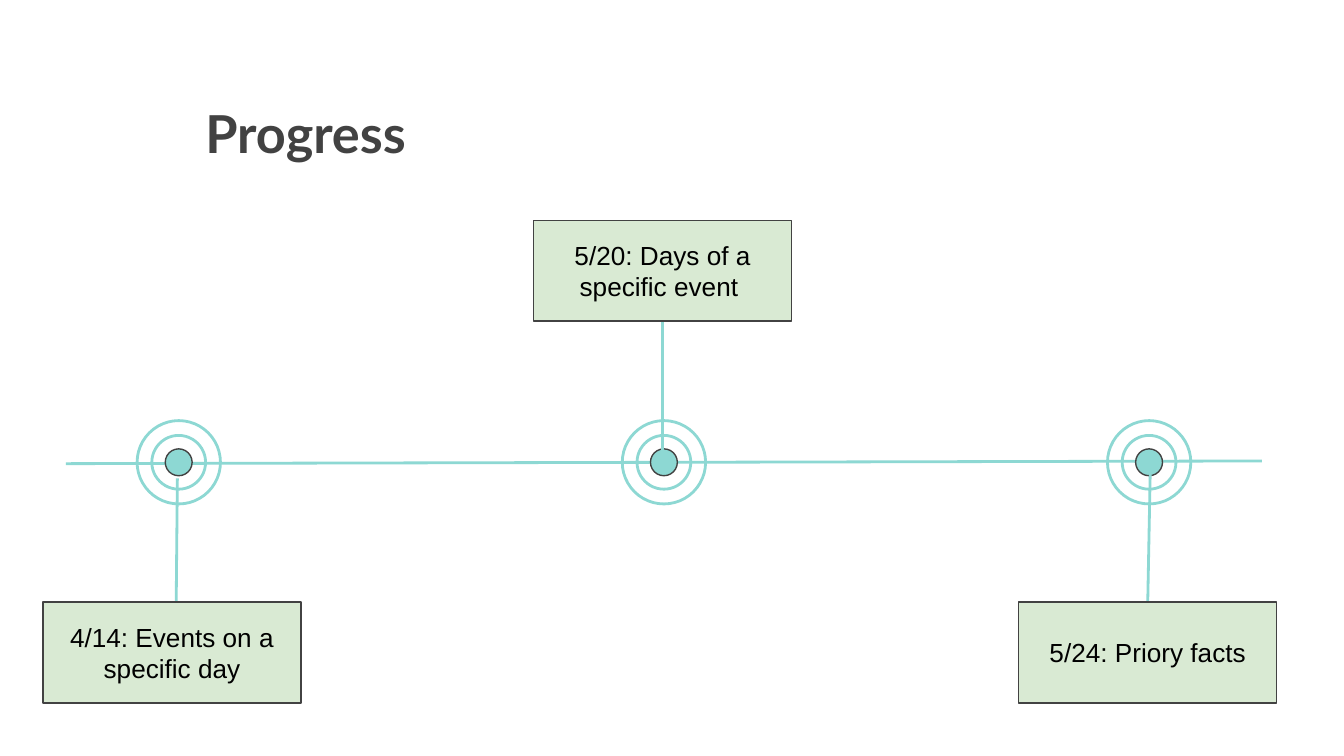
import pptx
import pptx.util
import pptx.dml.color
import pptx.enum.shapes
import pptx.enum.text
import pptx.oxml
import pptx.oxml.ns

Inches = pptx.util.Inches
Pt = pptx.util.Pt
TEAL = "8DD8D3"
DARK = "424242"


def color(hex_string):
    return pptx.dml.color.RGBColor.from_string(hex_string)


def add_line(start, end):
    line = slide.shapes.add_connector(
        pptx.enum.shapes.MSO_CONNECTOR.STRAIGHT, *map(Inches, start + end))
    line.line.color.rgb = color(TEAL)
    line.line.width = Pt(1.5)
    effects = pptx.oxml.parse_xml(f"<a:effectLst {pptx.oxml.ns.nsdecls('a')}/>")
    line._element.spPr.append(effects)
    return line


deck = pptx.Presentation()
deck.slide_width = Inches(10)
deck.slide_height = Inches(10 * 9 / 16)
slide = deck.slides.add_slide(deck.slide_layouts[6])

title = slide.shapes.add_textbox(Inches(1.43), Inches(0.65), Inches(7.69), Inches(1.09))
title.text_frame.word_wrap = True
title.text_frame.margin_top = title.text_frame.margin_bottom = Inches(0.1)
heading = title.text_frame.paragraphs[0].add_run()
heading.text = "Progress"
heading.font.name = "Lato"
heading.font.size = Pt(28)
heading.font.bold = True
heading.font.color.rgb = color(DARK)

add_line((0.49, 3.45), (9.39, 3.43))

for center in (1.33, 4.94, 8.55):
    marker = slide.shapes.add_group_shape()
    for size, outline, width in ((0.2, DARK, 0.75), (0.4, TEAL, 1.5), (0.62, TEAL, 1.5)):
        ring = marker.shapes.add_shape(
            pptx.enum.shapes.MSO_SHAPE.OVAL,
            Inches(center - size / 2), Inches(3.44 - size / 2), Inches(size), Inches(size))
        ring.shadow.inherit = False
        ring.line.color.rgb = color(outline)
        ring.line.width = Pt(width)
        if outline == DARK:
            ring.fill.solid()
            ring.fill.fore_color.rgb = color(TEAL)
        else:
            ring.fill.background()

events = (
    ("4/14: Events on a specific day", 0.32, 4.48, (1.32, 3.56), (1.31, 4.61), None),
    ("5/20: Days of a specific event ", 3.97, 1.64, (4.93, 3.43), (4.94, 2.38), 2),
    ("5/24: Priory facts", 7.58, 4.48, (8.56, 3.43), (8.55, 4.48), 0),
)
for label, left, top, stem_start, stem_end, side in events:
    stem = add_line(stem_start, stem_end)
    event = slide.shapes.add_shape(
        pptx.enum.shapes.MSO_SHAPE.RECTANGLE,
        Inches(left), Inches(top), Inches(1.92), Inches(0.75))
    event.shadow.inherit = False
    event.fill.solid()
    event.fill.fore_color.rgb = color("D9EAD3")
    event.line.color.rgb = color(DARK)
    event.line.width = Pt(0.75)
    if side is not None:
        stem.end_connect(event, side)
    frame = event.text_frame
    frame.word_wrap = True
    frame.vertical_anchor = pptx.enum.text.MSO_ANCHOR.MIDDLE
    frame.margin_top = frame.margin_bottom = Inches(0.1)
    frame.paragraphs[0].alignment = pptx.enum.text.PP_ALIGN.CENTER
    caption = frame.paragraphs[0].add_run()
    caption.text = label
    caption.font.name = "Arial"
    caption.font.size = Pt(14)
    caption.font.color.rgb = color("000000")

deck.save("out.pptx")
